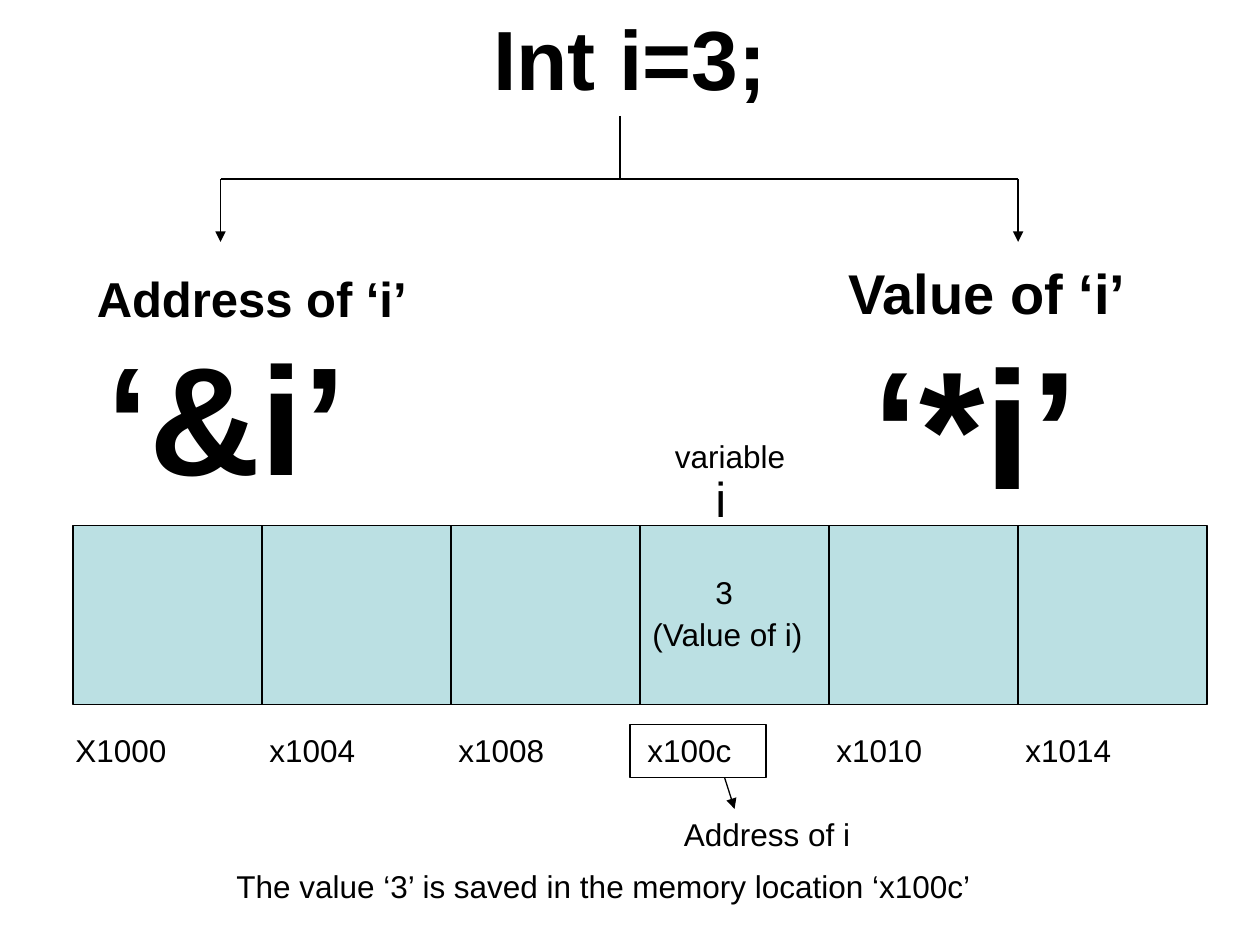
from dataclasses import dataclass

from lxml import etree
from pptx import Presentation
from pptx import util as u
from pptx.dml.color import RGBColor
from pptx.enum import shapes, text
from pptx.oxml import ns


@dataclass(frozen=True)
class Theme:
    font: str = "Arial"
    ink: RGBColor = RGBColor(0x00, 0x00, 0x00)
    cell: RGBColor = RGBColor(0xBB, 0xE0, 0xE3)
    line: float = 0.75
    body: int = 18
    symbol: int = 28
    address_heading: int = 28
    value_heading: int = 32
    title: int = 48
    address_operator: int = 88
    value_operator: int = 96


THEME = Theme()
LEFT = text.PP_ALIGN.LEFT
CENTER = text.PP_ALIGN.CENTER
RIGHT = text.PP_ALIGN.RIGHT

CELL_LEFT, CELL_TOP = 0.58, 4.17
CELL_WIDTH, CELL_HEIGHT = 1.5, 1.42
ADDRESSES = ["X1000", "x1004", "x1008", "x100c", "x1010", "x1014"]
BRANCH_LEFT, BRANCH_CENTER, BRANCH_RIGHT = 1.75, 4.92, 8.08
BRANCH_TOP, BRANCH_MIDDLE, BRANCH_BOTTOM = 0.92, 1.42, 1.92


def place(shape, left, top, width, height):
    shape.left, shape.top = u.Inches(left), u.Inches(top)
    shape.width, shape.height = u.Inches(width), u.Inches(height)


def write(shape, wording, size, bold=False, align=LEFT):
    frame = shape.text_frame
    frame.text = wording
    frame.word_wrap = True
    frame.auto_size = text.MSO_AUTO_SIZE.SHAPE_TO_FIT_TEXT
    frame.vertical_anchor = text.MSO_ANCHOR.TOP
    paragraph = frame.paragraphs[0]
    paragraph.alignment = align
    for run in paragraph.runs:
        run.font.name = THEME.font
        run.font.size = u.Pt(size)
        run.font.bold = bold
        run.font.color.rgb = THEME.ink
    return paragraph


def add_label(slide, box, wording, size=THEME.body, bold=False, align=LEFT):
    shape = slide.shapes.add_textbox(*map(u.Inches, box))
    return write(shape, wording, size, bold, align)


def add_box(slide, box, fill=None):
    shape = slide.shapes.add_shape(
        shapes.MSO_SHAPE.RECTANGLE, *map(u.Inches, box))
    shape.shadow.inherit = False
    if fill is None:
        shape.fill.background()
    else:
        shape.fill.solid()
        shape.fill.fore_color.rgb = fill
    shape.line.color.rgb = THEME.ink
    shape.line.width = u.Pt(THEME.line)


def add_line(slide, start, end, arrow=False):
    connector = slide.shapes.add_connector(
        shapes.MSO_CONNECTOR.STRAIGHT, *map(u.Inches, (*start, *end)))
    connector.line.color.rgb = THEME.ink
    connector.line.width = u.Pt(THEME.line)
    if arrow:
        etree.SubElement(connector.line._get_or_add_ln(),
                         ns.qn("a:tailEnd"), type="triangle")
    etree.SubElement(connector._element.spPr, ns.qn("a:effectLst"))


def add_tabs(paragraph, positions):
    tabs = etree.SubElement(paragraph._p.get_or_add_pPr(), ns.qn("a:tabLst"))
    for position in positions:
        etree.SubElement(tabs, ns.qn("a:tab"),
                         pos=str(u.Inches(position)), algn="l")


def add_title(slide):
    title = slide.shapes.title
    place(title, 0, 0, 10, 0.9)
    write(title, "Int i=3;", THEME.title, True, CENTER)


def add_branches(slide):
    add_line(slide, (BRANCH_LEFT, BRANCH_MIDDLE), (BRANCH_RIGHT, BRANCH_MIDDLE))
    add_line(slide, (BRANCH_CENTER, BRANCH_TOP), (BRANCH_CENTER, BRANCH_MIDDLE))
    for x in (BRANCH_LEFT, BRANCH_RIGHT):
        add_line(slide, (x, BRANCH_MIDDLE), (x, BRANCH_BOTTOM), arrow=True)


def add_operators(slide):
    add_label(slide, (0.67, 2.08, 3, 0.57), "Address of ‘i’",
              THEME.address_heading, True)
    add_label(slide, (5.75, 2, 4.17, 0.64), "Value of ‘i’",
              THEME.value_heading, True, CENTER)
    add_label(slide, (0.75, 2.5, 3.67, 1.57), "‘&i’",
              THEME.address_operator, True)
    add_label(slide, (6.83, 2.5, 1.92, 1.7), "‘*i’",
              THEME.value_operator, True)


def add_memory(slide):
    for index in range(len(ADDRESSES)):
        left = CELL_LEFT + index * CELL_WIDTH
        add_box(slide, (left, CELL_TOP, CELL_WIDTH, CELL_HEIGHT), THEME.cell)
    addresses = add_label(slide, (0.5, 5.75, 9.08, 0.4), "\t".join(ADDRESSES))
    add_tabs(addresses, [0.04 + index * CELL_WIDTH
                         for index in range(1, len(ADDRESSES))])


def add_variable(slide):
    add_label(slide, (5, 3.42, 1.33, 0.4), "variable", align=RIGHT)
    add_label(slide, (5.58, 3.67, 1.08, 0.57), "i", THEME.symbol)
    add_label(slide, (5.58, 4.5, 0.5, 0.4), "3")
    add_label(slide, (5.08, 4.83, 1.5, 0.4), "(Value of i)")
    add_box(slide, (5, 5.75, 1.08, 0.42))
    add_line(slide, (5.75, 6.17), (5.83, 6.42), arrow=True)
    add_label(slide, (5.33, 6.42, 1.83, 0.4), "Address of i")


def main():
    presentation = Presentation()
    presentation.slide_width = u.Inches(10)
    presentation.slide_height = u.Inches(7.5)
    slide = presentation.slides.add_slide(presentation.slide_layouts[5])
    add_title(slide)
    add_branches(slide)
    add_memory(slide)
    add_variable(slide)
    add_operators(slide)
    add_label(slide, (1, 6.83, 7.58, 0.4),
              "The value ‘3’ is saved in the memory location ‘x100c’",
              align=CENTER)
    presentation.save("out.pptx")


if __name__ == "__main__":
    main()
